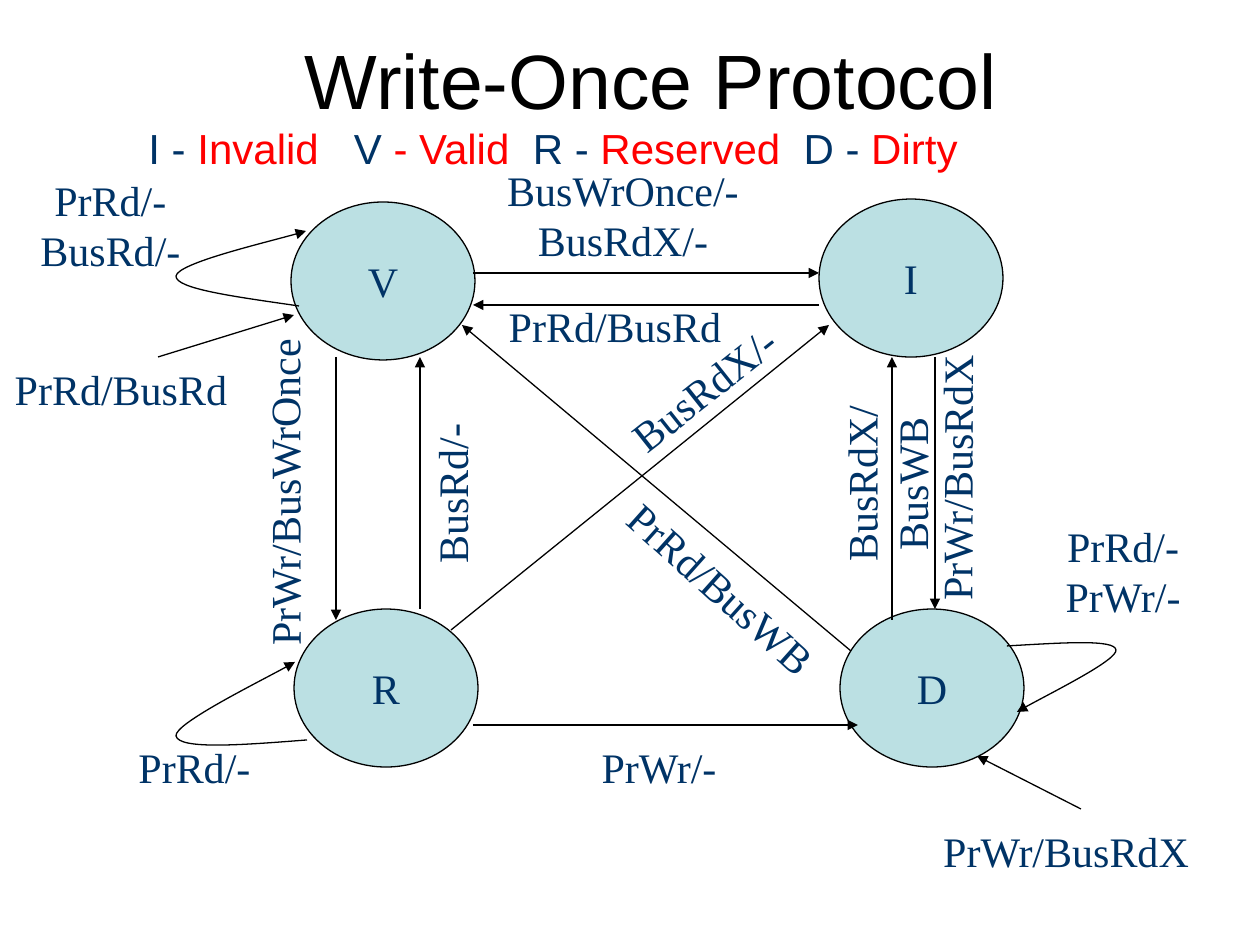
from lxml.etree import SubElement
from pptx import Presentation
from pptx.dml.color import RGBColor
from pptx.enum.shapes import MSO_CONNECTOR, MSO_SHAPE
from pptx.enum.text import MSO_ANCHOR, PP_ALIGN
from pptx.oxml.ns import qn
from pptx.util import Pt

SCALE = 914400 / 126
BLACK = RGBColor(0x00, 0x00, 0x00)
NAVY = RGBColor(0x00, 0x33, 0x66)
RED = RGBColor(0xFF, 0x00, 0x00)
TEAL = RGBColor(0xBB, 0xE0, 0xE3)
SERIF = "Times New Roman"
SANS = "Arial"

STATES = [("R", 294, 609), ("D", 840, 609), ("V", 291, 202), ("I", 819, 199)]

ARROWS = [
    (473, 725, 858, 725),
    (336, 357, 336, 620),
    (892, 620, 892, 357),
    (851, 651, 462, 325),
    (420, 609, 420, 357),
    (451, 630, 829, 325),
    (473, 273, 819, 273),
    (158, 357, 294, 315),
    (1081, 809, 977, 756),
    (819, 305, 473, 305),
    (935, 357, 935, 609),
]

LOOPS = [
    [(307, 740), (243, 745), (179, 750), (176, 736), (174, 724), (275, 674), (295, 662)],
    [(1007, 646), (1061, 643), (1115, 639), (1116, 650), (1118, 660), (1033, 702), (1017, 712)],
    [(299, 306), (237, 297), (175, 289), (176, 276), (178, 263), (285, 238), (306, 231)],
]

LABELS = [
    (["PrWr/-"], 588, 735, 142, 0),
    (["PrWr/BusWrOnce"], 116, 461, 335, 269.8),
    (["PrRd/-", "PrWr/-"], 1018, 514, 210, 0),
    (["BusRdX/BusWB"], 704, 452, 314, 270),
    (["PrRd/BusWB"], 588, 557, 267, 41.8),
    (["BusRd/-"], 369, 462, 165, 270),
    (["BusRdX/-"], 588, 357, 231, 321.6),
    (["PrRd/-"], 105, 735, 179, 0),
    (["PrRd/-", "BusRd/-"], 21, 168, 179, 0),
    (["BusWrOnce/-", "BusRdX/-"], 494, 158, 258, 0),
    (["PrRd/BusRd"], 0, 357, 242, 0),
    (["PrWr/BusRdX"], 924, 819, 284, 0),
    (["PrRd/BusRd"], 494, 294, 242, 0),
    (["PrWr/BusRdX"], 814, 446, 284, 270.2),
]

LEGEND = [
    ("I - ", NAVY), ("Invalid   ", RED), ("V", NAVY), (" - Valid  ", RED),
    ("R - ", NAVY), ("Reserved", RED), ("  D - ", NAVY), ("Dirty", RED),
]


def px(*nums):
    return [round(num * SCALE) for num in nums]


def write(shape, lines, font=SERIF, size=24, color=NAVY, align=PP_ALIGN.CENTER,
          anchor=MSO_ANCHOR.TOP, wrap=False):
    frame = shape.text_frame
    frame.word_wrap = wrap
    frame.vertical_anchor = anchor
    for num, line in enumerate(lines):
        para = frame.add_paragraph() if num else frame.paragraphs[0]
        para.alignment = align
        for words, tint in [(line, color)] if isinstance(line, str) else line:
            run = para.add_run()
            run.text = words
            run.font.name = font
            run.font.size = Pt(size)
            run.font.color.rgb = tint


def add_box(slide, lines, left, top, width, height, turn=0, **style):
    box = slide.shapes.add_textbox(*px(left, top, width, height))
    box.rotation = turn
    write(box, lines, **style)


def add_state(slide, name, left, top):
    oval = slide.shapes.add_shape(MSO_SHAPE.OVAL, *px(left, top, 184, 158))
    oval.shadow.inherit = False
    oval.fill.solid()
    oval.fill.fore_color.rgb = TEAL
    oval.line.color.rgb = BLACK
    oval.line.width = Pt(0.75)
    write(oval, [name], anchor=MSO_ANCHOR.MIDDLE)


def point(line):
    line.color.rgb = BLACK
    line.width = Pt(0.75)
    SubElement(line._get_or_add_ln(), qn("a:tailEnd"), type="triangle")


def add_arrow(slide, *ends):
    arrow = slide.shapes.add_connector(MSO_CONNECTOR.STRAIGHT, *px(*ends))
    point(arrow.line)
    SubElement(arrow._element.spPr, qn("a:effectLst"))


def add_loop(slide, dots):
    start, *rest = [px(*dot) for dot in dots]
    pen = slide.shapes.build_freeform(*start)
    pen.add_line_segments(rest, close=False)
    loop = pen.convert_to_shape()
    loop.shadow.inherit = False
    loop.fill.background()
    point(loop.line)
    route = loop._element.find(".//" + qn("a:path"))
    steps = route.findall(qn("a:lnTo"))
    for num in range(0, len(steps), 3):
        curve = SubElement(route, qn("a:cubicBezTo"))
        for step in steps[num:num + 3]:
            curve.append(step[0])
            route.remove(step)


def main():
    deck = Presentation()
    deck.slide_width, deck.slide_height = px(1260, 945)
    slide = deck.slides.add_slide(deck.slide_layouts[6])
    add_box(slide, ["Write-Once Protocol"], 105, 0, 1092, 158, font=SANS, size=44,
            color=BLACK, anchor=MSO_ANCHOR.MIDDLE, wrap=True)
    add_box(slide, [LEGEND], 136, 116, 1029, 63, font=SANS,
            align=PP_ALIGN.LEFT, wrap=True)
    for state in STATES:
        add_state(slide, *state)
    for ends in ARROWS:
        add_arrow(slide, *ends)
    for dots in LOOPS:
        add_loop(slide, dots)
    for lines, left, top, width, turn in LABELS:
        add_box(slide, lines, left, top, width, 13 + 50 * len(lines), turn)
    deck.save("out.pptx")


if __name__ == "__main__":
    main()
